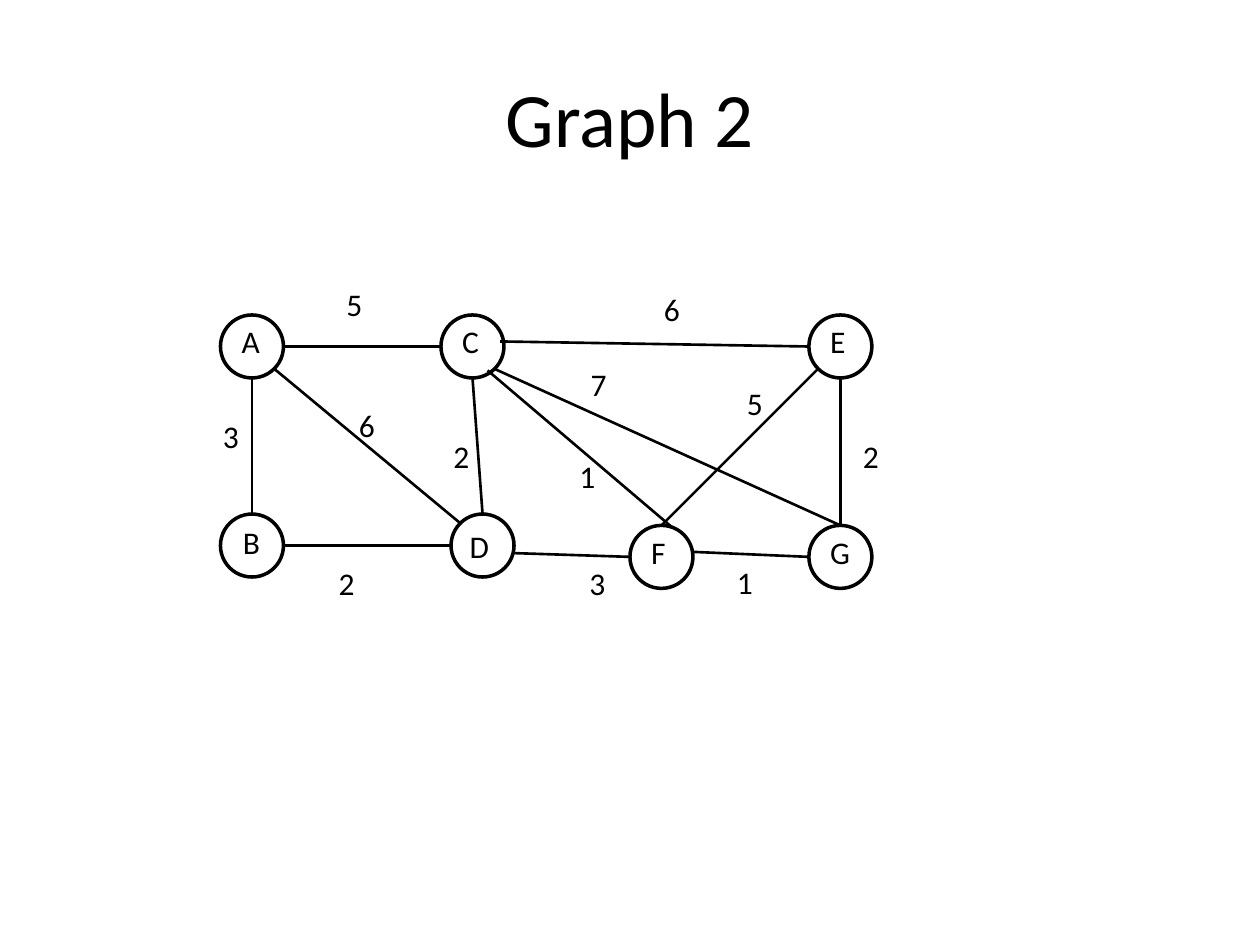
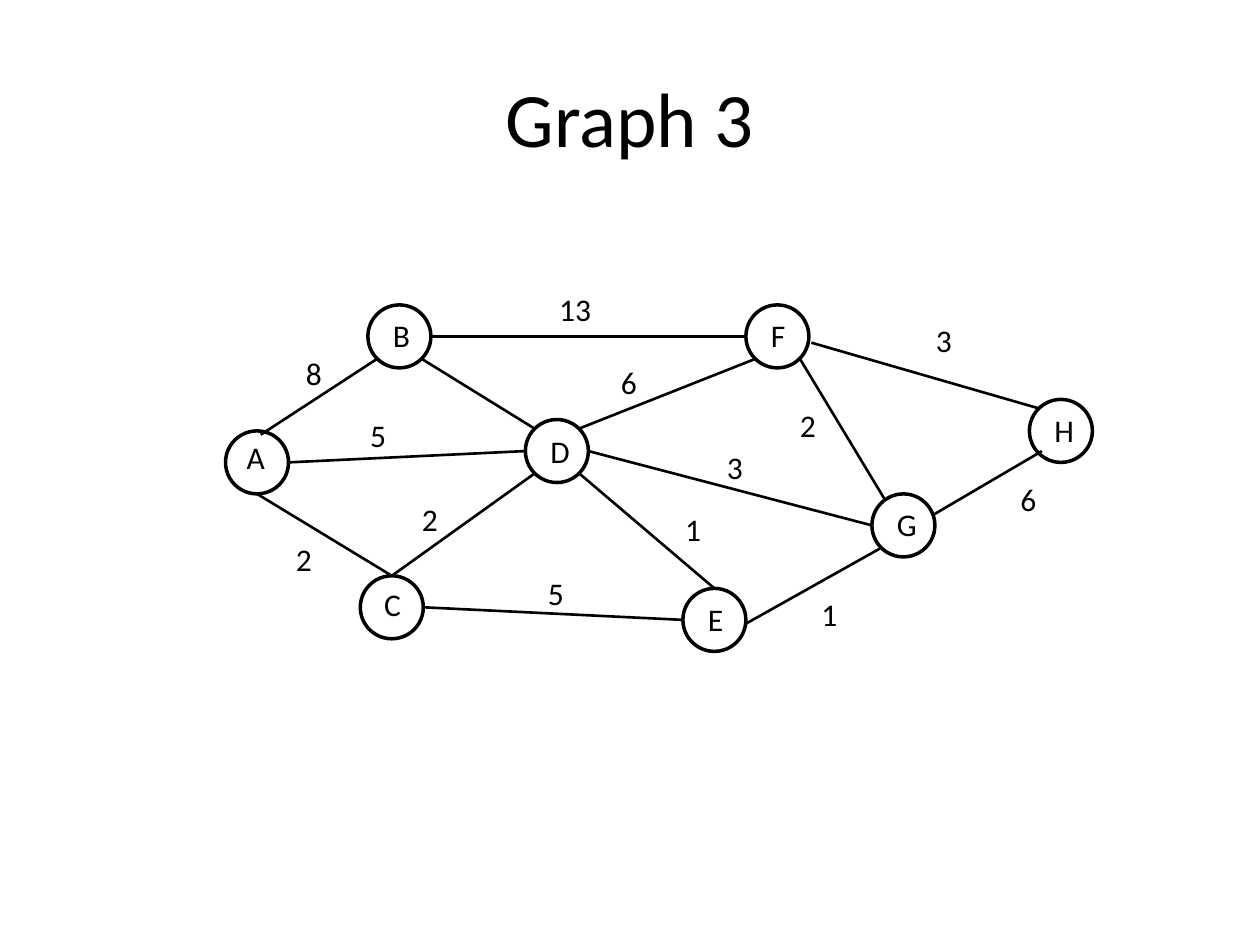
"""Builds two slides that show weighted graphs."""
from lxml import etree
from pptx import Presentation
from pptx.dml.color import RGBColor
from pptx.enum.shapes import MSO_CONNECTOR, MSO_SHAPE
from pptx.enum.text import MSO_ANCHOR, MSO_AUTO_SIZE, PP_ALIGN
from pptx.oxml.ns import qn
from pptx.util import Pt

STRAIGHT = MSO_CONNECTOR.STRAIGHT
OVAL = MSO_SHAPE.OVAL
MIDDLE, TOP = MSO_ANCHOR.MIDDLE, MSO_ANCHOR.TOP
GROW, FIXED = MSO_AUTO_SIZE.SHAPE_TO_FIT_TEXT, MSO_AUTO_SIZE.NONE
CENTER, LEFT = PP_ALIGN.CENTER, PP_ALIGN.LEFT

PX = 9144
TITLE_ONLY = 5
NODE = 50
INSET = 7
LABEL_H = 40
COLORS = {"ink": "000000", "paper": "FFFFFF"}
FAR = NODE - INSET
SIDES = {
    "n": (NODE // 2, 0), "s": (NODE // 2, NODE),
    "w": (0, NODE // 2), "e": (NODE, NODE // 2),
    "nw": (INSET, INSET), "ne": (FAR, INSET),
    "sw": (INSET, FAR), "se": (FAR, FAR),
}
LETTER_W = {"A": 35, "B": 34, "C": 34, "D": 36, "E": 32, "F": 32, "G": 36, "H": 36}

# Nodes: x, y, letter offset. Edges: two ends, each a node side or a point.
# Weights: text, x, y.
GRAPHS = [
    {
        "title": "Graph 2",
        "nodes": {
            "A": (175, 250, 7, 1), "B": (175, 408, 8, 2),
            "C": (350, 250, 7, 1), "D": (358, 408, 5, 5),
            "E": (642, 250, 7, 1), "F": (500, 417, 7, 1),
            "G": (642, 417, 7, 1),
        },
        "edges": [
            ("A e", "C w"), ("A s", "B n"), ("B e", "D w"), ("C s", "D n"),
            ((397, 271), "E w"), ("E s", "G n"), ((408, 439), "F w"),
            ((550, 438), "G w"), ("A se", "D nw"),
            ((387, 294), (534, 419)), ("C se", "G n"), ("E sw", "F n"),
        ],
        "weights": [
            ("3", 167, 326), ("5", 265, 221), ("2", 259, 443), ("6", 275, 317),
            ("6", 517, 225), ("2", 350, 342), ("2", 675, 342), ("1", 575, 442),
            ("1", 450, 358), ("3", 458, 443), ("5", 583, 300), ("7", 459, 285),
        ],
    },
    {
        "title": "Graph 3",
        "nodes": {
            "A": (179, 342, 7, 1), "B": (292, 242, 10, 4),
            "C": (286, 457, 9, 2), "D": (417, 333, 10, 5),
            "E": (542, 467, 10, 4), "F": (592, 242, 10, 4),
            "G": (692, 392, 10, 4), "H": (817, 317, 10, 4),
        },
        "edges": [
            ((207, 345), "B sw"), ("A s", "C n"), ("B e", "F w"),
            ("C e", "E w"), ((592, 495), "G sw"), ((740, 409), (827, 358)),
            ((644, 272), "H nw"), ("F se", (702, 396)), ("B se", "D nw"),
            ("A e", "D w"), ("C n", "D sw"), ("D se", "E n"),
            ("D e", "G w"), ("D ne", "F sw"),
        ],
        "weights": [
            ("8", 233, 276), ("2", 225, 424), ("5", 284, 325), ("2", 325, 392),
            ("5", 425, 451), ("13", 434, 225), ("6", 483, 283), ("2", 625, 317),
            ("3", 567, 351), ("1", 534, 400), ("3", 733, 250), ("6", 800, 376),
            ("1", 642, 467),
        ],
    },
]


def write(tf, text, size=18, align=LEFT, anchor=TOP, wrap=False, fit=GROW):
    tf.word_wrap = wrap
    tf.auto_size = fit
    tf.vertical_anchor = anchor
    p = tf.paragraphs[0]
    p.alignment = align
    r = p.add_run()
    r.text = text
    r.font.name = "Calibri"
    r.font.size = Pt(size)
    r.font.color.rgb = RGBColor.from_string(COLORS["ink"])


class GraphDeck:
    def __init__(self):
        self.prs = Presentation()
        self.prs.slide_width, self.prs.slide_height = 1000 * PX, 750 * PX
        self.s = None

    def slide(self, title):
        self.s = self.prs.slides.add_slide(self.prs.slide_layouts[TITLE_ONLY])
        fill = self.s.background.fill
        fill.solid()
        fill.fore_color.rgb = RGBColor.from_string(COLORS["paper"])
        sp = self.s.shapes.title
        sp.left, sp.top, sp.width, sp.height = (v * PX for v in (50, 30, 900, 125))
        write(sp.text_frame, title, size=44, align=CENTER, anchor=MIDDLE,
              wrap=True, fit=FIXED)

    def stroke(self, sp, width):
        sp.line.color.rgb = RGBColor.from_string(COLORS["ink"])
        sp.line.width = Pt(width)

    def label(self, text, x, y, w):
        sp = self.s.shapes.add_textbox(x * PX, y * PX, w * PX, LABEL_H * PX)
        write(sp.text_frame, text)

    def node(self, name, x, y, dx, dy):
        sp = self.s.shapes.add_shape(OVAL, x * PX, y * PX, NODE * PX, NODE * PX)
        sp.shadow.inherit = False
        sp.fill.background()
        self.stroke(sp, 2)
        self.label(name, x + dx, y + dy, LETTER_W[name])

    def edge(self, start, end):
        points = [v * PX for v in start + end]
        sp = self.s.shapes.add_connector(STRAIGHT, *points)
        self.stroke(sp, 1.5)
        etree.SubElement(sp._element.spPr, qn("a:effectLst"))

    def graph(self, title, nodes, edges, weights):
        def locate(end):
            if isinstance(end, tuple):
                return end
            name, side = end.split()
            x, y = nodes[name][:2]
            dx, dy = SIDES[side]
            return x + dx, y + dy

        self.slide(title)
        for name, place in nodes.items():
            self.node(name, *place)
        for start, end in edges:
            self.edge(locate(start), locate(end))
        for text, x, y in weights:
            self.label(text, x, y, 20 + 13 * len(text))


def main():
    deck = GraphDeck()
    for graph in GRAPHS:
        deck.graph(**graph)
    deck.prs.save("out.pptx")


if __name__ == "__main__":
    main()
